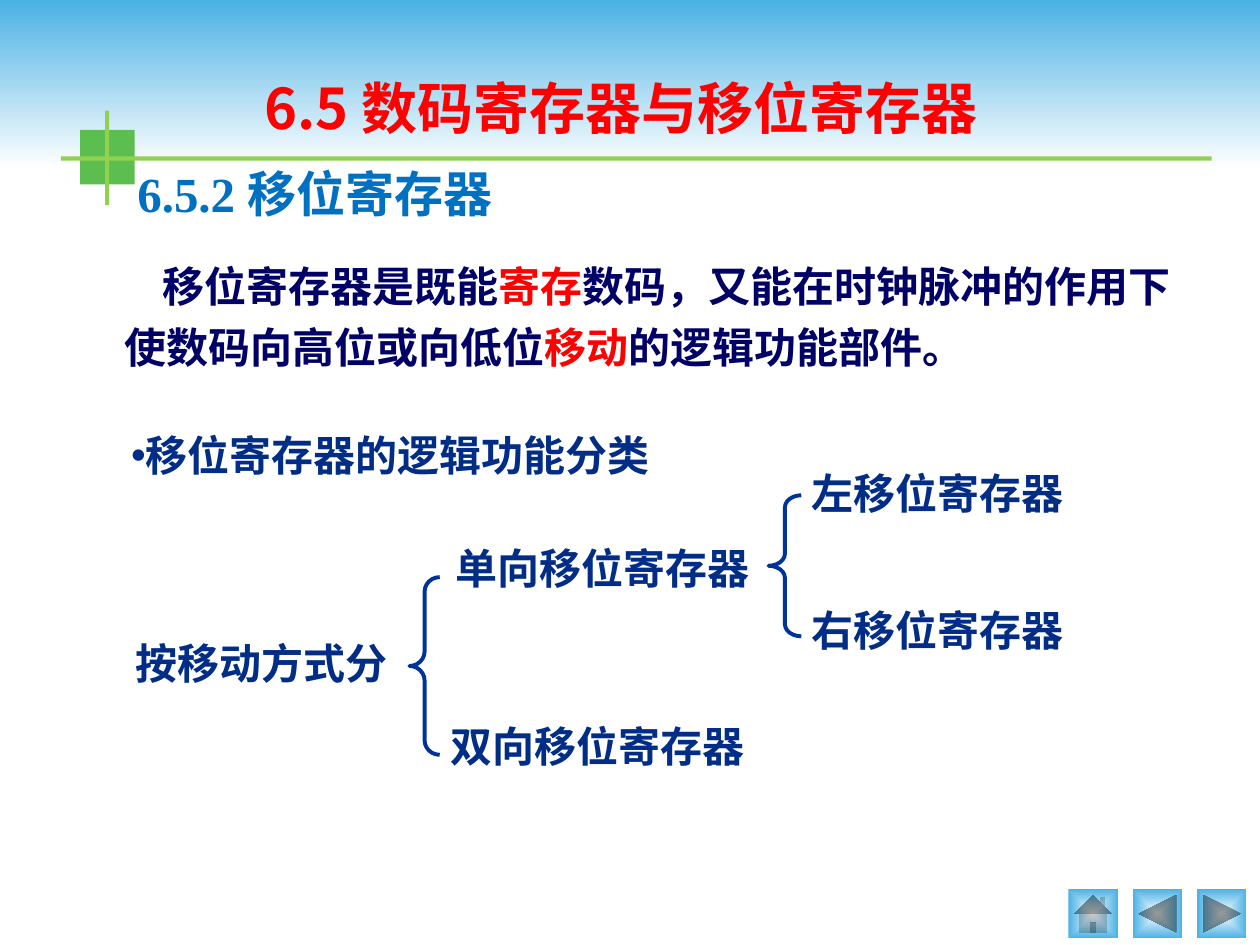
import pptx
import pptx.util
import pptx.dml.color
import pptx.enum.shapes
import pptx.enum.text
import pptx.oxml
import pptx.oxml.ns

Pt = pptx.util.Pt
SHAPE = pptx.enum.shapes.MSO_SHAPE
ALIGN = pptx.enum.text.PP_ALIGN
ANCHOR = pptx.enum.text.MSO_ANCHOR
COLORS = {
    "sky": "4AB1E4", "white": "FFFFFF", "square": "5BBE4E", "rule": "92D050",
    "red": "FF0000", "heading": "0070C0", "body": "000066",
    "label": "012D86", "brace": "003399",
}
SANS = "Noto Sans CJK SC"
SERIF = "Times New Roman"


class Deck:
    """Holds the style and the current slide, and draws each kind of element."""

    def __init__(self, prs):
        self.prs = prs
        self.s = prs.slides.add_slide(prs.slide_layouts[1])

    def color(self, name):
        return pptx.dml.color.RGBColor.from_string(COLORS[name])

    def place(self, sp, box):
        sp.left, sp.top, sp.width, sp.height = (Pt(v) for v in box)

    def shape(self, kind, box, fill=None):
        sp = self.s.shapes.add_shape(kind, *(Pt(v) for v in box))
        sp.shadow.inherit = False
        sp.line.fill.background()
        if fill:
            sp.fill.solid()
            sp.fill.fore_color.rgb = self.color(fill)
        else:
            sp.fill.background()
        return sp

    def gradient(self, kind, box, first, last, centred=False):
        sp = self.shape(kind, box)
        sp.fill.gradient()
        sp.fill.gradient_angle = 270
        for stop, name in zip(sp.fill.gradient_stops, (first, last)):
            stop.color.rgb = self.color(name)
        if centred:
            lin = sp._element.spPr.find(".//" + pptx.oxml.ns.qn("a:lin"))
            lin.getparent().replace(lin, pptx.oxml.parse_xml(
                f'<a:path {pptx.oxml.ns.nsdecls("a")} path="rect">'
                '<a:fillToRect l="50000" t="50000" r="50000" b="50000"/></a:path>'))

    def brace(self, box, curve):
        sp = self.shape(SHAPE.LEFT_BRACE, box)
        sp.adjustments[0], sp.adjustments[1] = curve, 0.5
        sp.line.color.rgb = self.color("brace")
        sp.line.width = Pt(2.25)

    def add_runs(self, p, runs, size, font=SANS):
        p.space_before = Pt(0)
        for text, name in runs:
            r = p.add_run()
            r.text = text
            r.font.name, r.font.size, r.font.bold = font, Pt(size), True
            r.font.color.rgb = self.color(name)
            rPr = r._r.get_or_add_rPr()
            rPr.append(rPr.makeelement(pptx.oxml.ns.qn("a:ea"), {"typeface": SANS}))

    def text(self, box, paragraphs, size=24, align=ALIGN.LEFT, spacing=None, indent=0):
        sp = self.s.shapes.add_textbox(*(Pt(v) for v in box))
        tf = sp.text_frame
        tf.word_wrap = True
        for i, runs in enumerate(paragraphs):
            p = tf.add_paragraph() if i else tf.paragraphs[0]
            p.alignment = align
            if spacing:
                p.line_spacing = spacing
            if indent and not i:
                p._p.get_or_add_pPr().set("indent", str(Pt(indent)))
            self.add_runs(p, runs, size)

    def placeholder(self, sp, box, runs, size, font, anchor):
        self.place(sp, box)
        sp._element.getparent().append(sp._element)
        tf = sp.text_frame
        tf.vertical_anchor = anchor
        tf.auto_size = pptx.enum.text.MSO_AUTO_SIZE.NONE
        p = tf.paragraphs[0]
        p.alignment = ALIGN.LEFT
        self.add_runs(p, runs, size, font)
        return p

    def title(self, box, text):
        self.placeholder(self.s.shapes.title, box, [(text, "heading")], 28, SERIF, ANCHOR.MIDDLE)

    def bullet(self, box, text):
        p = self.placeholder(self.s.placeholders[1], box, [(text, "label")], 24, SANS, ANCHOR.TOP)
        p.line_spacing = 0.9
        pPr = p._p.get_or_add_pPr()
        pPr.set("marL", "0")
        pPr.set("indent", "0")
        pPr.append(pptx.oxml.parse_xml(
            f'<a:buChar {pptx.oxml.ns.nsdecls("a")} char="•"/>'))


def main():
    prs = pptx.Presentation()
    prs.slide_width, prs.slide_height = Pt(720), Pt(540)
    deck = Deck(prs)

    deck.gradient(SHAPE.RECTANGLE, (0, 0, 720, 96), "sky", "white")
    deck.shape(SHAPE.RECTANGLE, (45.8, 74.2, 31.2, 31.2), "square")
    deck.shape(SHAPE.RECTANGLE, (60, 63.2, 2.4, 54), "rule")
    deck.shape(SHAPE.RECTANGLE, (34.8, 89.4, 657.6, 2.4), "rule")

    buttons = (SHAPE.ACTION_BUTTON_HOME, SHAPE.ACTION_BUTTON_BACK_OR_PREVIOUS,
               SHAPE.ACTION_BUTTON_FORWARD_OR_NEXT)
    for i, kind in enumerate(buttons):
        deck.gradient(kind, (610.5 + 36.8 * i, 508, 28.3, 28.3), "white", "sky", True)

    deck.text((91.4, 38.2, 527, 46), [[("6.5 数码寄存器与移位寄存器", "red")]], 32, ALIGN.CENTER)
    deck.title((71.3, 76.3, 539.3, 68.4), "6.5.2 移位寄存器")
    deck.text((64, 139.7, 678.3, 105), [
        [("移位寄存器是既能", "body"), ("寄存", "red"),
         ("数码，又能在时钟脉冲的作用下", "body")],
        [("使数码向高位或向低位", "body"), ("移动", "red"), ("的逻辑功能部件。", "body")],
    ], spacing=1.2, indent=22)
    deck.bullet((67.7, 244.8, 360, 33), "移位寄存器的逻辑功能分类")

    labels = (("按移动方式分", 70.6, 360.7, 171), ("单向移位寄存器", 253.4, 306.7, 228),
              ("双向移位寄存器", 250.6, 408.2, 268), ("左移位寄存器", 456.5, 263.5, 187),
              ("右移位寄存器", 456.5, 342, 187))
    for text, left, top, width in labels:
        deck.text((left, top, width, 36), [[(text, "label")]])
    deck.brace((234, 329.8, 17.3, 101.5), 0.48)
    deck.brace((439.2, 283, 18.7, 80.6), 0.37)

    prs.save("out.pptx")


if __name__ == "__main__":
    main()
